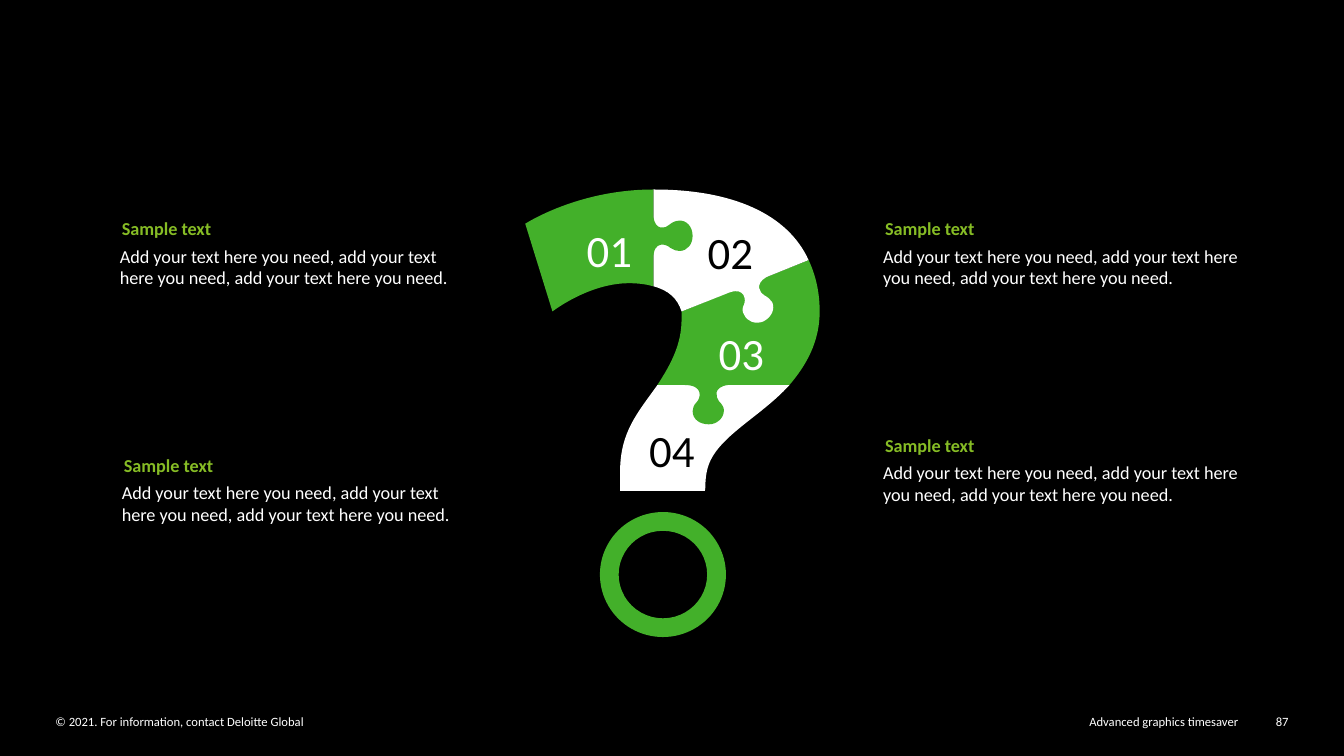
from pptx import Presentation
from pptx.dml.color import RGBColor
from pptx.enum.shapes import MSO_SHAPE
from pptx.enum.text import MSO_AUTO_SIZE, PP_ALIGN
from pptx.oxml.ns import qn
from pptx.util import Inches, Pt
from lxml.etree import SubElement

BLACK, WHITE, GREEN, LIME = "000000", "FFFFFF", "43B02A", "86BC25"
BODY = "Add your text here you need, add your text here you need, add your text here you need."

# Each outline lists points (x, y) for lines and six numbers for Bézier curves.
STEM = [
    (6.52, 3.82), (6.33, 4.09, 6.15, 4.28, 6.15, 4.68), (6.15, 4.87), (6.99, 4.87),
    (7, 4.87, 6.99, 4.77, 7.01, 4.68), (7.07, 4.35, 7.52, 4.16, 7.83, 3.82),
]
BEND = [
    (8.13, 3.09), (8.13, 2.9, 8.09, 2.73, 8.02, 2.58), (6.76, 3.09),
    (6.76, 3.11, 6.76, 3.14, 6.76, 3.17), (6.76, 3.42, 6.65, 3.62, 6.52, 3.82),
    (6.79, 3.82), (6.98, 3.82, 6.95, 3.95, 6.91, 3.99),
    (6.88, 4.02, 6.87, 4.05, 6.87, 4.08), (6.87, 4.16, 6.94, 4.21, 7.03, 4.21),
    (7.11, 4.21, 7.18, 4.15, 7.18, 4.07), (7.18, 4.04, 7.16, 4.01, 7.13, 3.98),
    (7.1, 3.94, 7.07, 3.84, 7.22, 3.82), (7.83, 3.82),
    (8, 3.62, 8.13, 3.39, 8.13, 3.09),
]
CROWN = [
    (7.58, 2.93), (7.54, 2.91, 7.48, 2.82, 7.6, 2.75), (8.02, 2.58),
    (7.81, 2.12, 7.26, 1.88, 6.49, 1.88), (6.48, 1.88), (6.48, 2.84),
    (6.63, 2.88, 6.72, 2.96, 6.76, 3.09), (7.24, 2.9),
    (7.39, 2.85, 7.4, 2.98, 7.38, 3.02), (7.36, 3.06, 7.36, 3.09, 7.38, 3.12),
    (7.41, 3.19, 7.49, 3.22, 7.57, 3.19), (7.65, 3.15, 7.69, 3.07, 7.66, 3),
    (7.64, 2.97, 7.62, 2.95, 7.58, 2.93),
]
TAIL = [
    (6.73, 2.19), (6.7, 2.19, 6.66, 2.21, 6.64, 2.23),
    (6.6, 2.27, 6.5, 2.29, 6.48, 2.15), (6.48, 1.88),
    (5.73, 1.88, 5.21, 2.22, 5.21, 2.22), (5.48, 3.09),
    (5.48, 3.09, 5.84, 2.81, 6.24, 2.81), (6.33, 2.81, 6.41, 2.82, 6.48, 2.84),
    (6.48, 2.57), (6.48, 2.38, 6.61, 2.42, 6.65, 2.46),
    (6.68, 2.48, 6.71, 2.49, 6.74, 2.49), (6.82, 2.49, 6.87, 2.42, 6.87, 2.34),
    (6.87, 2.25, 6.81, 2.18, 6.73, 2.19),
]


def color(value):
    """Return the colour for a hex string."""
    return RGBColor.from_string(value)


def paint(shape, fill):
    """Give a shape a plain fill without line or shadow."""
    shape.shadow.inherit = False
    shape.fill.solid()
    shape.fill.fore_color.rgb = color(fill)
    shape.line.fill.background()


def bend_segments(shape, steps):
    """Turn the straight segments that have control points into Bézier curves."""
    segments = list(shape._element.iter(qn("a:lnTo")))
    for segment, step in zip(segments, steps):
        if len(step) == 2:
            continue
        curve = segment.makeelement(qn("a:cubicBezTo"))
        for x, y in zip(step[::2], step[1::2]):
            SubElement(curve, qn("a:pt"), x=str(Inches(x) - shape.left),
                       y=str(Inches(y) - shape.top))
        segment.getparent().replace(segment, curve)


def add_piece(shapes, outline, fill):
    """Draw one puzzle piece."""
    points = [(Inches(step[-2]), Inches(step[-1])) for step in outline]
    builder = shapes.build_freeform(*points[0])
    builder.add_line_segments(points[1:], close=True)
    piece = builder.convert_to_shape()
    bend_segments(piece, outline[1:])
    paint(piece, fill)


def add_text(shapes, text, left, top, width, height, size=13, fill=WHITE,
             bold=False, align=PP_ALIGN.LEFT, wrap=True, margins=True):
    """Add a text box holding one formatted paragraph."""
    box = shapes.add_textbox(Inches(left), Inches(top), Inches(width), Inches(height))
    frame = box.text_frame
    frame.word_wrap = wrap
    frame.auto_size = MSO_AUTO_SIZE.SHAPE_TO_FIT_TEXT
    if not margins:
        frame.margin_left = frame.margin_right = 0
        frame.margin_top = frame.margin_bottom = 0
    para = frame.paragraphs[0]
    para.alignment = align
    span = para.add_run()
    span.text = text
    span.font.name = "Calibri"
    span.font.size = Pt(size)
    span.font.bold = bold
    span.font.color.rgb = color(fill)


def add_note(page, left, top, width):
    """Add a green heading with its body text below."""
    shapes = page.shapes.add_group_shape().shapes
    add_text(shapes, "Sample text", left + 0.02, top, 1.1, 0.32,
             fill=LIME, bold=True, wrap=False)
    add_text(shapes, BODY, left, top + 0.27, width, 0.54)


def add_question_mark(page):
    """Draw the puzzle question mark with its ring and numbers."""
    shapes = page.shapes.add_group_shape().shapes
    for outline, fill in ((STEM, WHITE), (BEND, GREEN), (CROWN, WHITE), (TAIL, GREEN)):
        add_piece(shapes, outline, fill)
    ring = shapes.add_shape(MSO_SHAPE.DONUT, Inches(5.95), Inches(5.08),
                            Inches(1.25), Inches(1.24))
    ring.adjustments[0] = 0.15
    paint(ring, GREEN)
    numbers = ((5.72, 2.16, WHITE), (6.92, 2.18, BLACK),
               (7.03, 3.18, WHITE), (6.34, 4.14, BLACK))
    for number, (left, top, fill) in enumerate(numbers, 1):
        add_text(page.shapes, f"{number:02}", left, top, 0.77, 0.64,
                 size=32, fill=fill, wrap=False)


def add_footer(page):
    """Add the copyright line, deck name and page number."""
    for text, left, width, align in (
        ("© 2021. For information, contact Deloitte Global", 0.55, 5.86, PP_ALIGN.LEFT),
        ("Advanced graphics timesaver", 6.93, 5.35, PP_ALIGN.RIGHT),
        ("87", 12.44, 0.34, PP_ALIGN.RIGHT),
    ):
        add_text(page.shapes, text, left, 7.08, width, 0.15,
                 size=9, align=align, margins=False)


def main():
    """Build the slide and save the deck."""
    deck = Presentation()
    deck.slide_width, deck.slide_height = Inches(13.33), Inches(7.5)
    page = deck.slides.add_slide(deck.slide_layouts[6])
    page.background.fill.solid()
    page.background.fill.fore_color.rgb = color(BLACK)
    add_footer(page)
    add_question_mark(page)
    for left, top, width in ((1.11, 4.46, 3.71), (1.09, 2.11, 3.47),
                             (8.66, 2.11, 3.72), (8.66, 4.26, 3.72)):
        add_note(page, left, top, width)
    deck.save("out.pptx")


if __name__ == "__main__":
    main()
